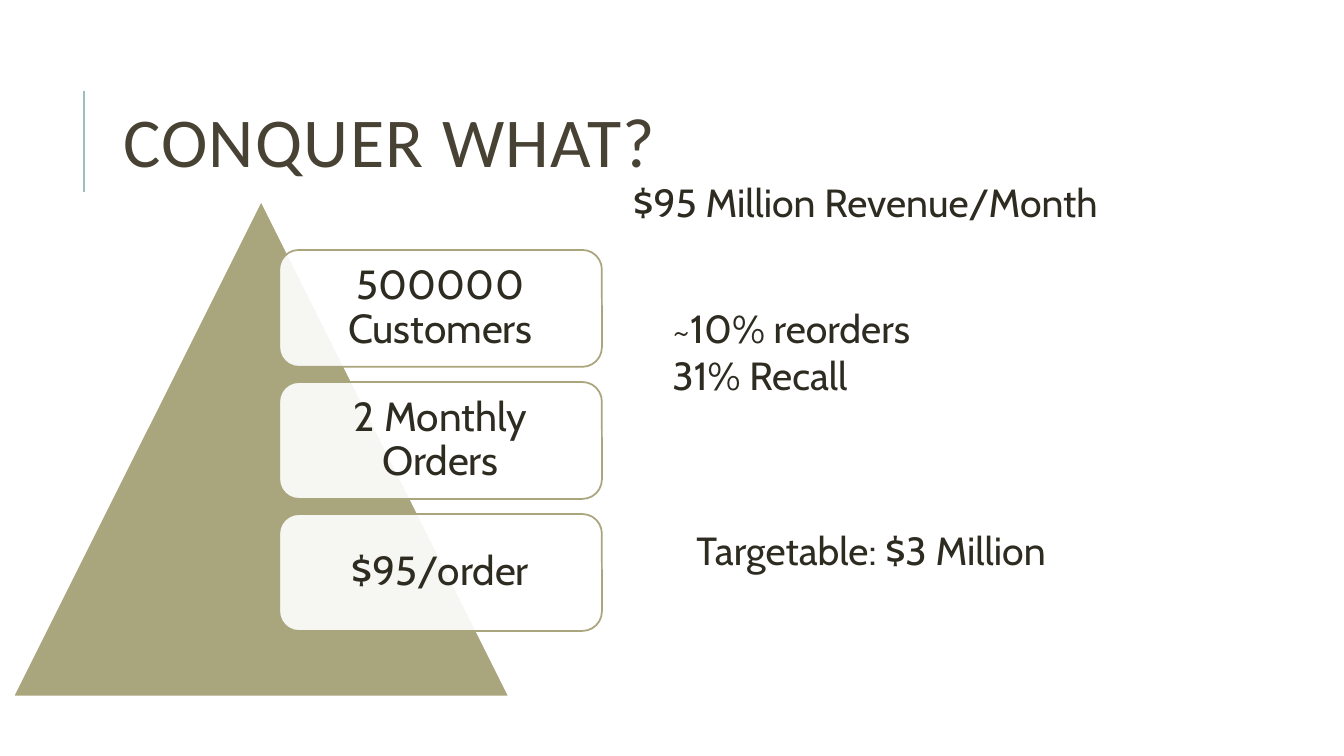
from lxml import etree
from pptx import Presentation
from pptx.dml.color import RGBColor
from pptx.enum.shapes import MSO_CONNECTOR, MSO_SHAPE
from pptx.enum.text import MSO_ANCHOR, MSO_AUTO_SIZE, PP_ALIGN
from pptx.oxml.ns import qn
from pptx.util import Pt

PX = 9144  # 100 px to the inch
LINE = MSO_CONNECTOR.STRAIGHT
PEAK, CARD = MSO_SHAPE.ISOSCELES_TRIANGLE, MSO_SHAPE.ROUNDED_RECTANGLE
TOP, MID = MSO_ANCHOR.TOP, MSO_ANCHOR.MIDDLE
LEFT, MIDST = PP_ALIGN.LEFT, PP_ALIGN.CENTER
FIT, FIXED = MSO_AUTO_SIZE.SHAPE_TO_FIT_TEXT, MSO_AUTO_SIZE.NONE

INK, BROWN, OLIVE, TEAL, WHITE = "2E2B21", "474233", "A9A57C", "9CBEBD", "FFFFFF"


def color(code):
    return RGBColor.from_string(code)


def apply(item, values):
    for name, value in values.items():
        setattr(item, name, value)


def place(item, *box):
    names = ("left", "top", "width", "height")
    apply(item, {name: n * PX for name, n in zip(names, box)})


def write(item, lines, frame, para, size, face="Cabin", ink=INK):
    """Fill a shape with one paragraph per line."""
    text = item.text_frame
    text.text = "\n".join(lines)
    apply(text, {"word_wrap": True, **frame})
    for part in text.paragraphs:
        apply(part, para)
        for run in part.runs:
            apply(run.font, {"size": Pt(size), "name": face})
            run.font.color.rgb = color(ink)
    return text


def inset(pad):
    sides = ("left", "top", "right", "bottom")
    return {f"margin_{side}": pad * PX for side in sides}


def add_form(slide, kind, box, fill, edge):
    form = slide.shapes.add_shape(kind, *(n * PX for n in box))
    form.shadow.inherit = False
    form.fill.solid()
    form.fill.fore_color.rgb = color(fill)
    form.line.color.rgb = color(edge)
    form.line.width = Pt(1.25)
    return form


def add_card(slide, label, box):
    card = add_form(slide, CARD, box, WHITE, OLIVE)
    # Let the pyramid show through slightly
    tint = card.fill._xPr.find(qn("a:solidFill"))[0]
    etree.SubElement(tint, qn("a:alpha"), val="90000")
    frame = {"vertical_anchor": MID, **inset(18)}
    write(card, [label], frame, {"alignment": MIDST, "line_spacing": 0.9}, 29)


def add_note(slide, lines, box):
    note = slide.shapes.add_textbox(*(n * PX for n in box))
    write(note, lines, {"auto_size": FIT}, {"alignment": LEFT}, 28)


def add_rule(slide, x, top, end):
    rule = slide.shapes.add_connector(LINE, x * PX, top * PX, x * PX, end * PX)
    rule.line.color.rgb = color(TEAL)
    rule.line.width = Pt(1.5)
    etree.SubElement(rule._element.spPr, qn("a:effectLst"))


def add_title(slide, label):
    title = slide.shapes.title
    place(title, 112, 64, 1063, 164)
    frame = {"vertical_anchor": MID, "auto_size": FIXED}
    para = {"alignment": LEFT, "line_spacing": 0.8}
    text = write(title, [label], frame, para, 50, "Calibri", BROWN)
    text.paragraphs[0].runs[0].font._element.set("spc", "100")


def add_body(slide, label):
    body = slide.placeholders[1]
    place(body, 623, 177, 552, 59)
    frame = {"vertical_anchor": TOP, "auto_size": FIXED, **inset(5)}
    para = {"alignment": LEFT, "line_spacing": 0.9,
            "space_before": Pt(0), "space_after": Pt(2)}
    text = write(body, [label], frame, para, 28)
    # Plain line without a bullet
    props = text.paragraphs[0]._p.get_or_add_pPr()
    props.set("marL", "0")
    props.set("indent", "0")
    etree.SubElement(props, qn("a:buNone"))


def main():
    deck = Presentation()
    apply(deck, {"slide_width": 1333 * PX, "slide_height": 750 * PX})
    slide = deck.slides.add_slide(deck.slide_layouts[1])

    # Heading
    add_rule(slide, 83, 90, 190)
    add_title(slide, "CONQUER WHAT?")
    add_body(slide, "$95 Million Revenue/Month")

    # Pyramid with its cards
    add_form(slide, PEAK, (13, 199, 492, 492), OLIVE, WHITE)
    cards = ("500000 Customers", "2 Monthly Orders", "$95/order")
    for row, label in enumerate(cards):
        add_card(slide, label, (277, 248 + 131 * row, 320, 116))

    # Notes on the right
    add_note(slide, ["~10% reorders", "31% Recall"], (657, 297, 371, 104))
    add_note(slide, ["Targetable: $3 Million"], (681, 517, 393, 57))

    deck.save("out.pptx")


if __name__ == "__main__":
    main()
